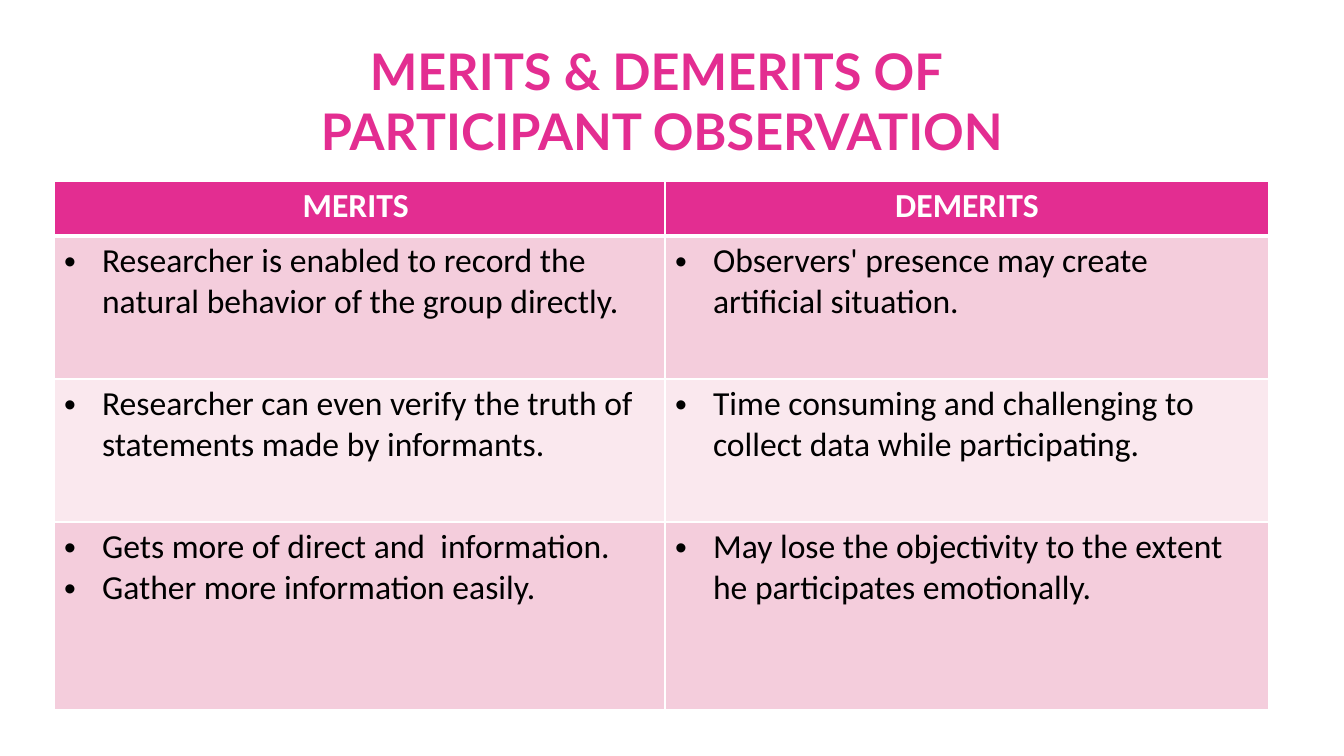
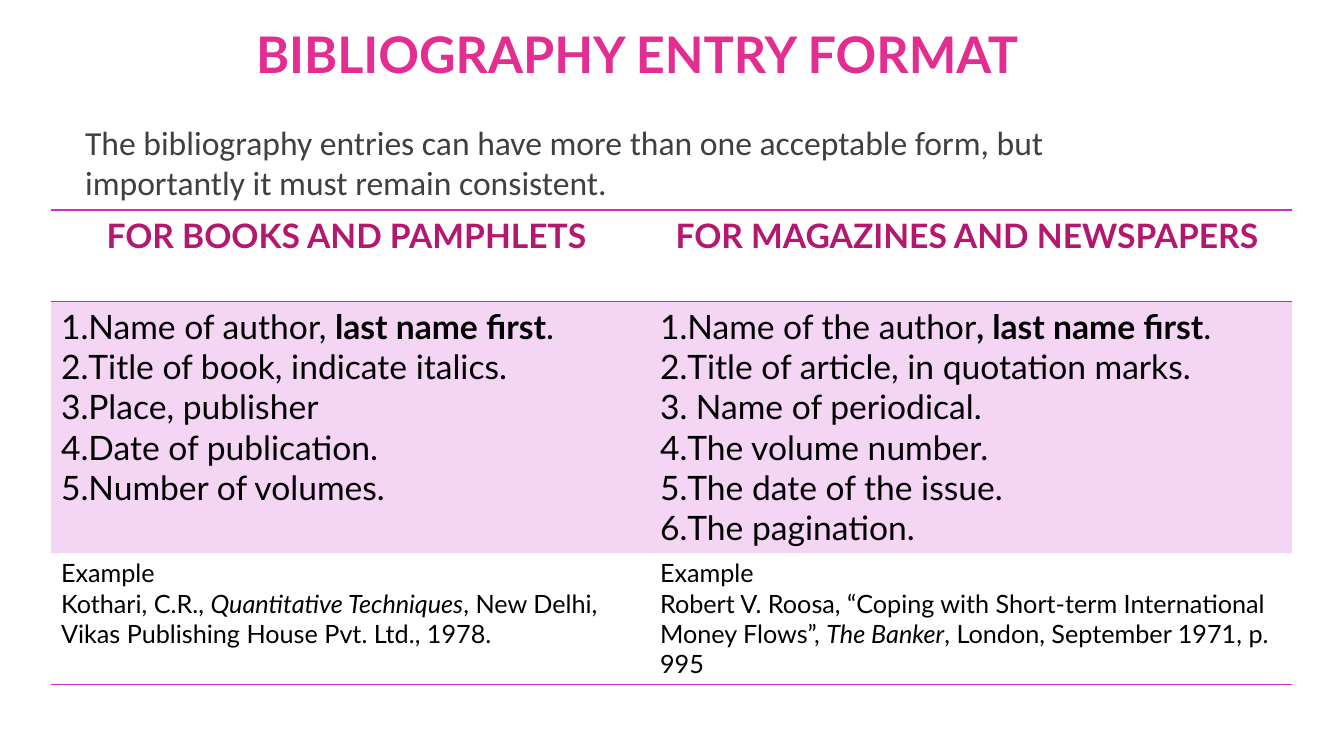
"""Build two slides with pink titles and two-column tables."""
from dataclasses import dataclass, field
from typing import Optional

from lxml import etree
from pptx import Presentation
from pptx.dml.color import RGBColor
from pptx.enum.text import MSO_ANCHOR, MSO_AUTO_SIZE, PP_ALIGN
from pptx.oxml.ns import qn
from pptx.util import Emu, Pt

TOP, NO_AUTOFIT = MSO_ANCHOR.TOP, MSO_AUTO_SIZE.NONE
LEFT, CENTER = PP_ALIGN.LEFT, PP_ALIGN.CENTER
EMU_PER_PX = 12192000 / 1344
SLIDE_WIDTH, SLIDE_HEIGHT = 1344, 756
HANGING = 38
HEADING_FONT, TEXT_FONT = "Lato", "Calibri"
PINK, DEEP_PINK, PURPLE = "E32D91", "B4186E", "C830CC"
ROSE, PALE_ROSE = "F4CDDC", "FAE8EE"
WHITE, BLACK, GREY, RULE = "FFFFFF", "000000", "404040", "7A5A7C"


@dataclass(frozen=True)
class Box:
    """A rectangle in px."""
    left: int
    top: int
    width: int
    height: int


@dataclass(frozen=True)
class TextStyle:
    """The look of a run of text."""
    font: str
    size: int
    color: str
    bold: bool = False


@dataclass(frozen=True)
class Segment:
    """A stretch of text with its own emphasis."""
    text: str
    bold: bool = False
    italic: bool = False


@dataclass(frozen=True)
class Border:
    """A cell edge, invisible without a colour."""
    color: Optional[str] = None
    width: float = 1


Line = tuple[Segment, ...]
NO_BORDER = Border()
WHITE_BORDER, THICK_WHITE = Border(WHITE), Border(WHITE, 3)
PURPLE_BORDER, HEADER_RULE = Border(PURPLE), Border(RULE, 0.75)


@dataclass(frozen=True)
class Row:
    """A table row with its lines of text for each column."""
    height: int
    cells: tuple[tuple[Line, ...], ...]
    style: TextStyle
    fill: Optional[str] = None
    opacity: int = 100
    align: int = LEFT
    marker: str = ""
    top: Border = field(default=NO_BORDER)
    bottom: Border = field(default=NO_BORDER)
    side: Border = field(default=NO_BORDER)


TITLE_STYLE = TextStyle(HEADING_FONT, 36, PINK, True)
INTRO_STYLE = TextStyle(TEXT_FONT, 24, GREY)
MERIT_STYLE = TextStyle(TEXT_FONT, 24, BLACK)
MERIT_HEADER = TextStyle(TEXT_FONT, 24, WHITE, True)
ENTRY_HEADER = TextStyle(HEADING_FONT, 24, DEEP_PINK, True)
ENTRY_STYLE = TextStyle(HEADING_FONT, 24, BLACK)
EXAMPLE_STYLE = TextStyle(HEADING_FONT, 18, BLACK)


def px(value: float) -> Emu:
    """Turn px into EMU."""
    return Emu(round(value * EMU_PER_PX))


def rgb(value: str) -> RGBColor:
    """Turn a hex string into a colour."""
    return RGBColor.from_string(value)


def lines(*texts: str) -> tuple[Line, ...]:
    """Make plain one-segment lines."""
    return tuple((Segment(text),) for text in texts)


def format_run(run, style: TextStyle, bold: bool = False, italic: bool = False) -> None:
    """Apply a text style and emphasis to a run."""
    run.font.name = style.font
    run.font.size = Pt(style.size)
    run.font.color.rgb = rgb(style.color)
    run.font.bold = style.bold or bold
    run.font.italic = italic


def set_marker(paragraph, marker: str) -> None:
    """Give a paragraph a bullet, a number or no marker."""
    properties = paragraph._p.get_or_add_pPr()
    hanging = px(HANGING) if marker == "bullet" else 0
    properties.set("marL", str(hanging))
    properties.set("indent", str(-hanging))
    if marker == "bullet":
        etree.SubElement(properties, qn("a:buFont"), typeface="Arial")
        etree.SubElement(properties, qn("a:buChar"), char="•")
    elif marker == "number":
        etree.SubElement(properties, qn("a:buAutoNum"), type="arabicPeriod")
    else:
        etree.SubElement(properties, qn("a:buNone"))


def fill_placeholder(shape, box: Box, text: str, style: TextStyle, align: int) -> None:
    """Place a placeholder and write its text."""
    shape.left, shape.top = px(box.left), px(box.top)
    shape.width, shape.height = px(box.width), px(box.height)
    frame = shape.text_frame
    frame.text = text
    frame.word_wrap = True
    frame.auto_size = NO_AUTOFIT
    frame.vertical_anchor = TOP
    for paragraph in frame.paragraphs:
        set_marker(paragraph, "")
        paragraph.alignment = align
        paragraph.space_before = Pt(0)
        for run in paragraph.runs:
            format_run(run, style)


def set_borders(cell, row: Row) -> None:
    """Draw the four edges of a cell."""
    properties = cell._tc.get_or_add_tcPr()
    edges = (("L", row.side), ("R", row.side), ("T", row.top), ("B", row.bottom))
    for name, border in edges:
        edge = etree.SubElement(properties, qn(f"a:ln{name}"), w=str(Pt(border.width)))
        if border.color:
            solid = etree.SubElement(edge, qn("a:solidFill"))
            etree.SubElement(solid, qn("a:srgbClr"), val=border.color)
        else:
            etree.SubElement(edge, qn("a:noFill"))


def fill_cell(cell, row: Row, content: tuple[Line, ...]) -> None:
    """Paint a cell and write its lines."""
    set_borders(cell, row)
    if row.fill:
        cell.fill.solid()
        cell.fill.fore_color.rgb = rgb(row.fill)
        if row.opacity < 100:
            color = cell._tc.tcPr.find(f"{qn('a:solidFill')}/{qn('a:srgbClr')}")
            etree.SubElement(color, qn("a:alpha"), val=str(row.opacity * 1000))
    else:
        cell.fill.background()
    frame = cell.text_frame
    for index, line in enumerate(content):
        paragraph = frame.add_paragraph() if index else frame.paragraphs[0]
        set_marker(paragraph, row.marker)
        paragraph.alignment = row.align
        for segment in line:
            run = paragraph.add_run()
            run.text = segment.text
            format_run(run, row.style, segment.bold, segment.italic)


def add_table(slide, left: int, top: int, widths: tuple[int, ...], rows: tuple[Row, ...]) -> None:
    """Add a table made of styled rows."""
    height = sum(row.height for row in rows)
    table = slide.shapes.add_table(
        len(rows), len(widths), px(left), px(top), px(sum(widths)), px(height)).table
    table.first_row = table.horz_banding = False
    for column, width in zip(table.columns, widths):
        column.width = px(width)
    for table_row, row in zip(table.rows, rows):
        table_row.height = px(row.height)
        for cell, content in zip(table_row.cells, row.cells):
            fill_cell(cell, row, content)


def merit_row(height: int, fill: str, merits: tuple[Line, ...], demerits: tuple[Line, ...],
              top: Border = WHITE_BORDER) -> Row:
    """Make a bulleted row of merits and demerits."""
    return Row(height, (merits, demerits), MERIT_STYLE, fill, marker="bullet",
               top=top, bottom=WHITE_BORDER, side=WHITE_BORDER)


def add_merits_slide(presentation) -> None:
    """Add the slide on participant observation."""
    slide = presentation.slides.add_slide(presentation.slide_layouts[5])
    fill_placeholder(slide.shapes.title, Box(75, 35, 1174, 145),
                     "MERITS & DEMERITS OF \nPARTICIPANT OBSERVATION", TITLE_STYLE, CENTER)
    add_table(slide, 54, 181, (611, 604), (
        Row(55, (lines("MERITS "), lines("DEMERITS")), MERIT_HEADER, PINK, align=CENTER,
            top=WHITE_BORDER, bottom=THICK_WHITE, side=WHITE_BORDER),
        merit_row(143, ROSE,
                  lines("Researcher is enabled to record the natural behavior of the group directly."),
                  lines("Observers' presence may create artificial situation."), THICK_WHITE),
        merit_row(143, PALE_ROSE,
                  lines("Researcher can even verify the truth of statements made by informants."),
                  lines("Time consuming and challenging to collect data while participating.")),
        merit_row(188, ROSE,
                  lines("Gets more of direct and  information.", "Gather more information easily."),
                  lines("May lose the objectivity to the extent he participates emotionally.")),
    ))


def add_bibliography_slide(presentation) -> None:
    """Add the slide on bibliography entries."""
    slide = presentation.slides.add_slide(presentation.slide_layouts[1])
    fill_placeholder(slide.shapes.title, Box(246, 18, 948, 145),
                     "BIBLIOGRAPHY ENTRY FORMAT", TITLE_STYLE, LEFT)
    intro = slide.placeholders[1]
    fill_placeholder(intro, Box(75, 117, 1142, 162),
                     "The bibliography entries can have more than one acceptable form, "
                     "but importantly it must remain consistent.", INTRO_STYLE, LEFT)
    intro.text_frame.margin_right = px(60)
    book_entry = (
        (Segment("Name of author, "), Segment("last name first", bold=True), Segment(".")),
        *lines("Title of book, indicate italics.", "Place, publisher",
               "Date of publication.", "Number of volumes."))
    magazine_entry = (
        (Segment("Name of the author"), Segment(", last name first", bold=True), Segment(".")),
        *lines("Title of article, in quotation marks.", " Name of periodical.",
               "The volume number.", "The date of the issue.", "The pagination."))
    book_example = (
        *lines("Example"),
        (Segment("Kothari, C.R., "), Segment("Quantitative Techniques", italic=True),
         Segment(", New Delhi, Vikas Publishing House Pvt. Ltd., 1978.")))
    magazine_example = (
        *lines("Example"),
        (Segment("Robert V. Roosa, “Coping with Short-term International Money Flows”, "),
         Segment("The Banker", italic=True), Segment(", London, September 1971, p. 995")))
    add_table(slide, 51, 210, (599, 642), (
        Row(91, (lines("FOR BOOKS AND PAMPHLETS "), lines("FOR MAGAZINES AND NEWSPAPERS ")),
            ENTRY_HEADER, align=CENTER, top=PURPLE_BORDER, bottom=HEADER_RULE),
        Row(252, (book_entry, magazine_entry), ENTRY_STYLE, PURPLE, 20,
            marker="number", top=HEADER_RULE),
        Row(131, (book_example, magazine_example), EXAMPLE_STYLE, bottom=PURPLE_BORDER),
    ))


def main() -> None:
    """Build and save the presentation."""
    presentation = Presentation()
    presentation.slide_width = px(SLIDE_WIDTH)
    presentation.slide_height = px(SLIDE_HEIGHT)
    add_merits_slide(presentation)
    add_bibliography_slide(presentation)
    presentation.save("out.pptx")


if __name__ == "__main__":
    main()
